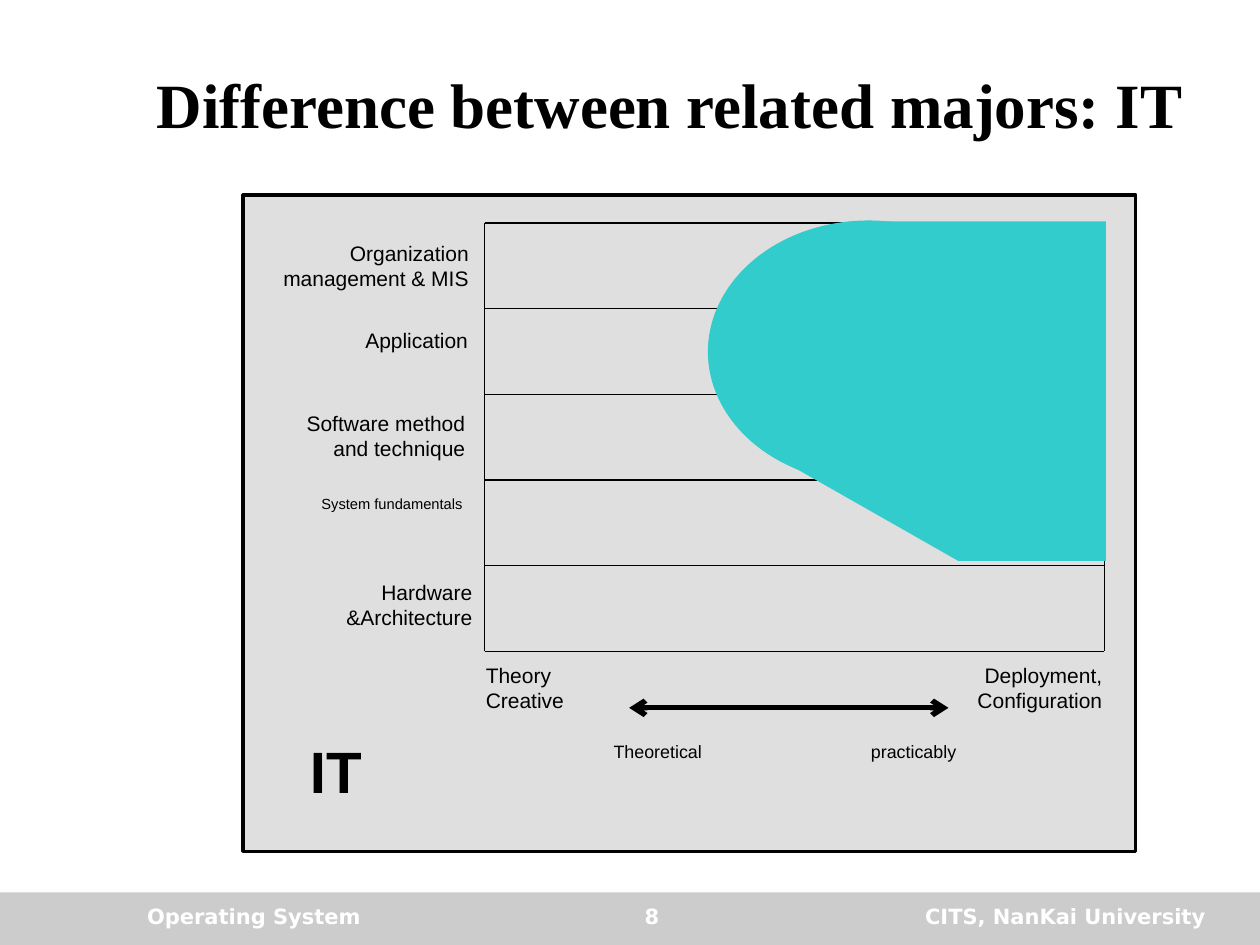
import lxml.etree
import pptx
import pptx.dml.color
import pptx.enum.shapes
import pptx.enum.text
import pptx.oxml.ns
import pptx.util

Pt = pptx.util.Pt
qn = pptx.oxml.ns.qn
SHAPE = pptx.enum.shapes.MSO_SHAPE
ALIGN = pptx.enum.text.PP_ALIGN
ANCHOR = pptx.enum.text.MSO_ANCHOR
COLORS = {"ink": "000000", "white": "FFFFFF", "bar": "CCCCCC", "panel": "C0C0C0", "area": "33CCCC"}


class SlideBuilder:
    """Holds the style and the current slide, and adds elements measured in points."""

    def __init__(self, slide, font="Arial", size=12):
        self.slide = slide
        self.font = font
        self.size = size

    def color(self, name):
        return pptx.dml.color.RGBColor.from_string(COLORS[name])

    def style(self, paragraph, align, size, font, color, bold):
        paragraph.alignment = align
        paragraph.font.name = font
        paragraph.font.size = Pt(size)
        paragraph.font.bold = bold
        paragraph.font.color.rgb = self.color(color)

    def title(self, text, left, top, width, height):
        shape = self.slide.shapes.title
        shape.left, shape.top, shape.width, shape.height = map(Pt, (left, top, width, height))
        frame = shape.text_frame
        frame.text = text
        frame.vertical_anchor = ANCHOR.MIDDLE
        self.style(frame.paragraphs[0], ALIGN.CENTER, 36, "Times New Roman", "ink", True)

    def text(self, text, left, top, width, height, align=ALIGN.LEFT, size=None,
             font=None, color="ink", bold=False, spacing=None):
        shape = self.slide.shapes.add_textbox(*map(Pt, (left, top, width, height)))
        frame = shape.text_frame
        frame.word_wrap = True
        frame.text = text
        for paragraph in frame.paragraphs:
            self.style(paragraph, align, size or self.size, font or self.font, color, bold)
            if spacing:
                paragraph.line_spacing = spacing

    def fill(self, shape, color):
        shape.shadow.inherit = False
        shape.fill.solid()
        shape.fill.fore_color.rgb = self.color(color)
        shape.line.fill.background()

    def shape(self, kind, color, left, top, width, height):
        shape = self.slide.shapes.add_shape(kind, *map(Pt, (left, top, width, height)))
        self.fill(shape, color)
        return shape

    def panel(self, left, top, width, height):
        shape = self.shape(SHAPE.RECTANGLE, "panel", left, top, width, height)
        shape.line.color.rgb = self.color("ink")
        shape.line.width = Pt(2)
        fill_color = shape._element.spPr.find(qn("a:solidFill"))[0]
        lxml.etree.SubElement(fill_color, qn("a:alpha"), val="50000")

    def polygon(self, color, points):
        start, *others = [(Pt(x), Pt(y)) for x, y in points]
        builder = self.slide.shapes.build_freeform(*start)
        builder.add_line_segments(others, close=True)
        self.fill(builder.convert_to_shape(), color)

    def line(self, x1, y1, x2, y2, width=0.75, arrows=False):
        connector = self.slide.shapes.add_connector(
            pptx.enum.shapes.MSO_CONNECTOR.STRAIGHT, *map(Pt, (x1, y1, x2, y2)))
        connector.line.color.rgb = self.color("ink")
        connector.line.width = Pt(width)
        if arrows:
            for end in ("a:headEnd", "a:tailEnd"):
                lxml.etree.SubElement(connector.line._get_or_add_ln(), qn(end), type="arrow")
        lxml.etree.SubElement(connector._element.spPr, qn("a:effectLst"))


def main():
    presentation = pptx.Presentation()
    presentation.slide_width, presentation.slide_height = Pt(720), Pt(540)
    slide = presentation.slides.add_slide(presentation.slide_layouts[5])
    builder = SlideBuilder(slide)

    builder.shape(SHAPE.RECTANGLE, "bar", 0, 510, 720, 30)
    for text, left, width, align in (
        ("Operating System", 77, 198, ALIGN.LEFT),
        ("CITS, NanKai University", 468, 228, ALIGN.RIGHT),
        ("8", 288.5, 168, ALIGN.CENTER),
    ):
        builder.text(text, left, 512.5, width, 24, align, font="DejaVu Sans", color="white", bold=True)
    builder.title("Difference between related majors: IT", 76.5, 24, 612.5, 70.5)

    builder.panel(139, 111.5, 510, 375)
    grid_left, grid_right, grid_top, row_height, rows = 277, 631, 127.5, 48.95, 5
    grid_bottom = grid_top + rows * row_height
    for row in range(rows + 1):
        y = grid_top + row * row_height
        builder.line(grid_left, y, grid_right, y)
    for x in (grid_left, grid_right):
        builder.line(x, grid_top, x, grid_bottom)

    builder.text("Organization management & MIS", 139, 134, 136, 44, ALIGN.RIGHT)
    builder.text("Application", 176.5, 183.5, 98, 35, ALIGN.RIGHT)
    builder.text("Software method and technique", 151, 231, 122, 46, ALIGN.RIGHT)
    builder.text("System fundamentals", 173.5, 281, 98, 29, ALIGN.RIGHT, 8.4, spacing=0.8)
    builder.text("Hardware\n&Architecture", 151, 327.5, 126, 43, ALIGN.RIGHT)

    builder.text("Theory\nCreative", 270.5, 375, 82, 49)
    builder.text("Deployment,Configuration", 547, 375, 90, 43, ALIGN.RIGHT)
    builder.line(359.5, 404.5, 542, 404.5, width=3, arrows=True)
    builder.text("Theoretical", 343.5, 421, 110, 20, size=10.2, spacing=0.9)
    builder.text("practicably", 455.5, 421, 98, 20, ALIGN.RIGHT, 10.2, spacing=0.9)
    builder.text("IT", 170, 421, 76, 49, size=33.3, bold=True, spacing=0.9)

    builder.shape(SHAPE.OVAL, "area", 404.5, 126, 183.5, 150)
    builder.shape(SHAPE.RECTANGLE, "area", 502, 126.5, 130, 139)
    builder.shape(SHAPE.RECTANGLE, "area", 547.5, 231, 84.5, 89.5)
    builder.polygon("area", [(435, 256.5), (547.5, 320.5), (547.5, 248.5)])

    presentation.save("out.pptx")


if __name__ == "__main__":
    main()
